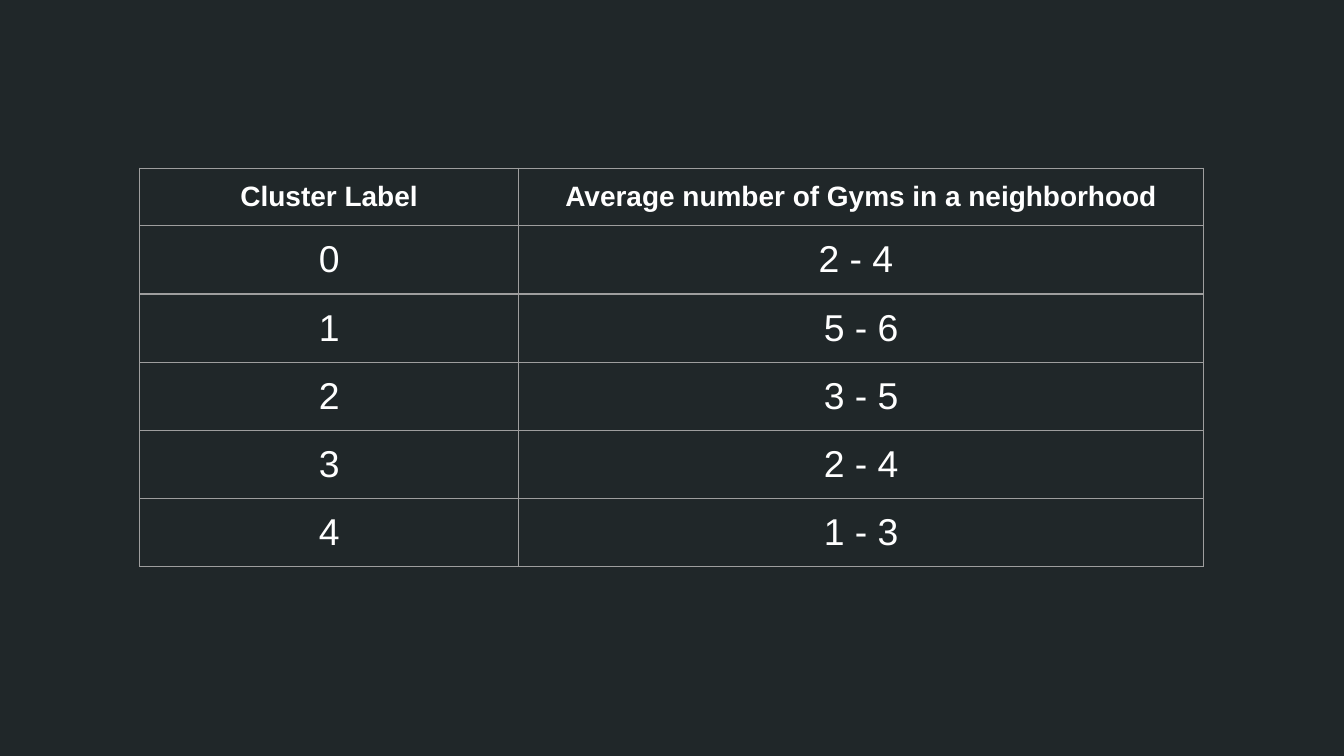
from lxml.etree import SubElement
from pptx import Presentation
from pptx.dml.color import RGBColor
from pptx.enum.text import PP_ALIGN
from pptx.oxml.ns import qn
from pptx.util import Cm, Pt

BACKGROUND = RGBColor(0x20, 0x27, 0x29)
BORDER = RGBColor(0x9E, 0x9E, 0x9E)
WHITE = RGBColor(0xFF, 0xFF, 0xFF)

HEADERS = ("Cluster Label", "Average number of Gyms in a neighborhood")
GYM_RANGES = ("2 - 4 ", "5 - 6", "3 - 5", "2 - 4", "1 - 3")


def write_text(text_frame, text, size=20, bold=False, color=WHITE,
               font="Arial", align=PP_ALIGN.CENTER):
    paragraph = text_frame.paragraphs[0]
    paragraph.alignment = align
    run = paragraph.add_run()
    run.text = text
    run.font.name = font
    run.font.size = Pt(size)
    run.font.bold = bold
    run.font.color.rgb = color


class SlideBuilder:
    margin = Cm(0.25)
    border_width = Pt(0.75)
    header_size = 15

    def __init__(self, slide):
        self.slide = slide

    def background(self, color):
        fill = self.slide.background.fill
        fill.solid()
        fill.fore_color.rgb = color

    def border(self, cell):
        properties = cell._tc.get_or_add_tcPr()
        for side in ("lnL", "lnR", "lnT", "lnB"):
            line = SubElement(properties, qn(f"a:{side}"), w=str(self.border_width))
            fill = SubElement(line, qn("a:solidFill"))
            SubElement(fill, qn("a:srgbClr"), val=str(BORDER))

    def table(self, rows, left, top, column_widths, row_height):
        frame = self.slide.shapes.add_table(
            len(rows), len(column_widths), left, top,
            sum(column_widths), row_height * len(rows))
        table = frame.table
        table.horz_banding = False
        for column, width in zip(table.columns, column_widths):
            column.width = width
        for row_index, row in enumerate(rows):
            is_header = row_index == 0
            for column_index, text in enumerate(row):
                cell = table.cell(row_index, column_index)
                cell.margin_left = cell.margin_right = self.margin
                cell.margin_top = cell.margin_bottom = self.margin
                self.border(cell)
                cell.fill.background()
                write_text(cell.text_frame, text, bold=is_header,
                           size=self.header_size if is_header else 20)


def main():
    presentation = Presentation()
    presentation.slide_width = Cm(25.4)
    presentation.slide_height = Cm(14.29)
    builder = SlideBuilder(presentation.slides.add_slide(presentation.slide_layouts[6]))
    builder.background(BACKGROUND)
    clusters = [(str(label), gyms) for label, gyms in enumerate(GYM_RANGES)]
    builder.table([HEADERS, *clusters], left=Cm(2.64), top=Cm(3.18),
                  column_widths=(Cm(7.16), Cm(12.95)), row_height=Cm(1.07))
    presentation.save("out.pptx")


if __name__ == "__main__":
    main()
